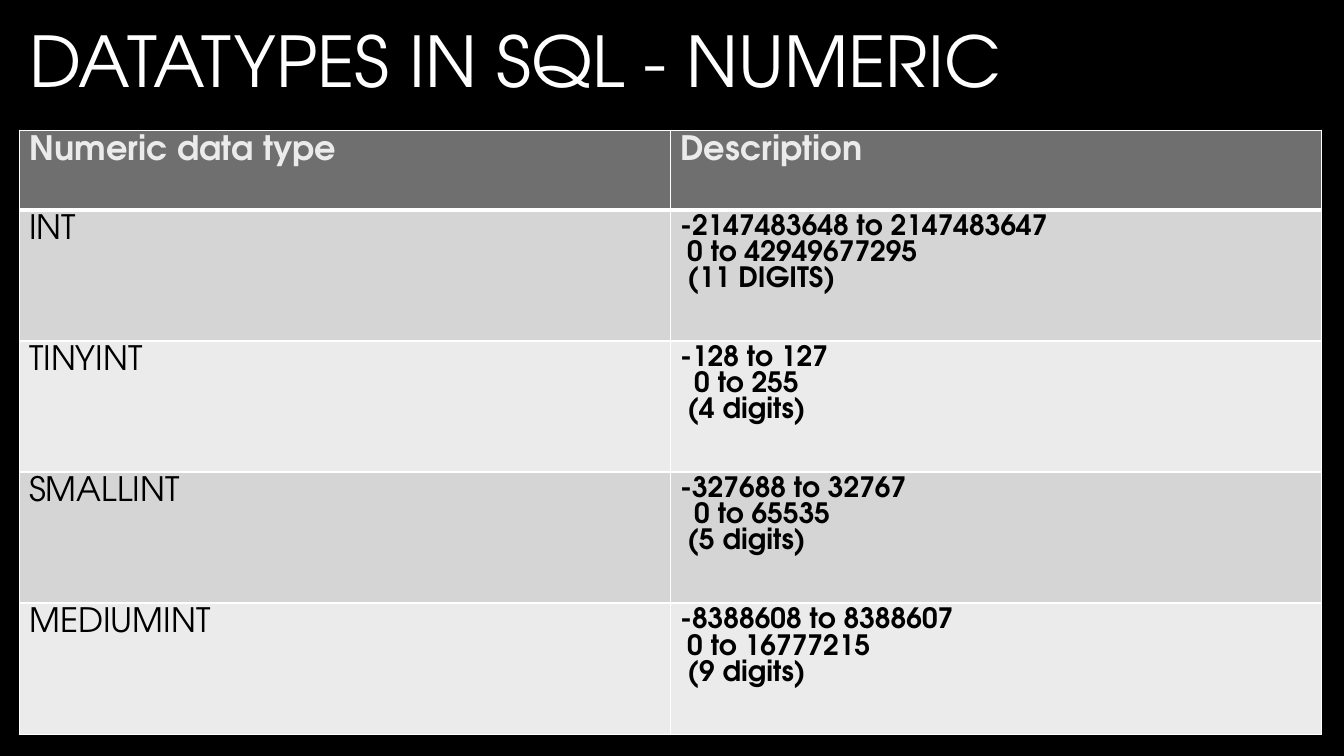
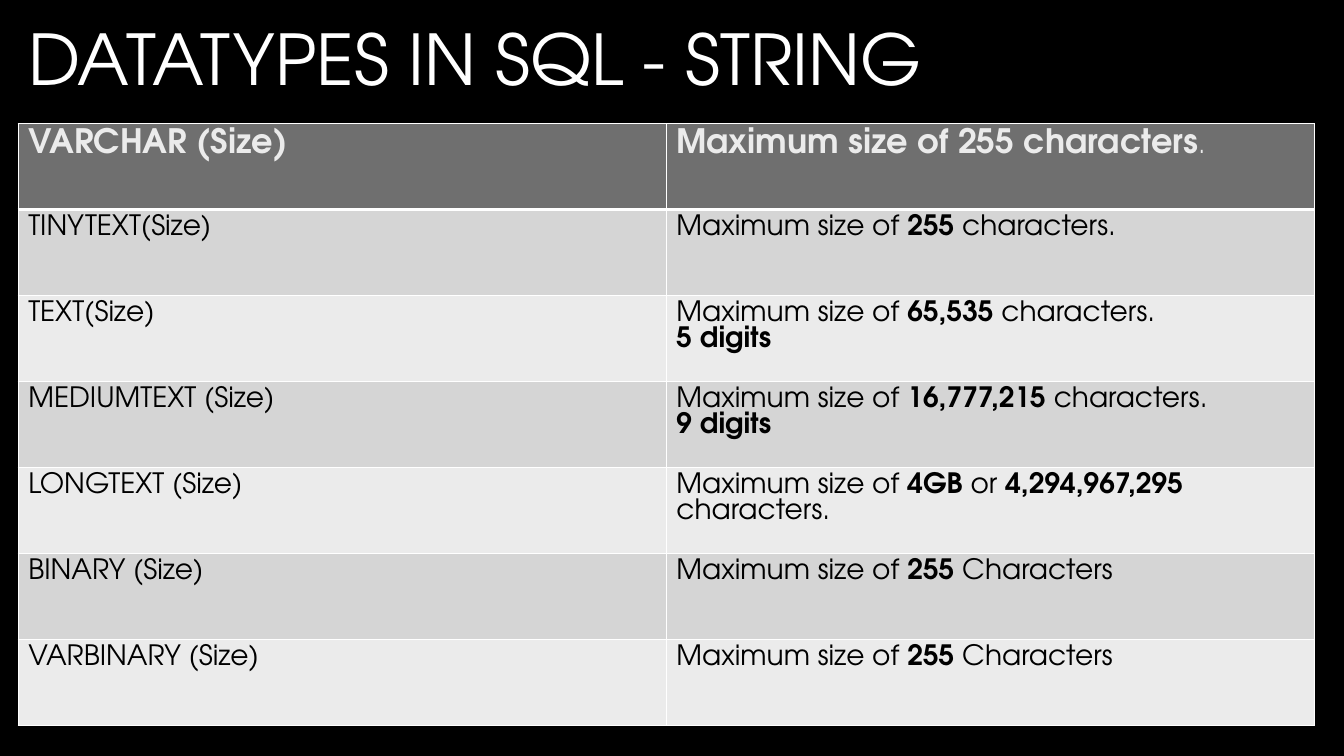
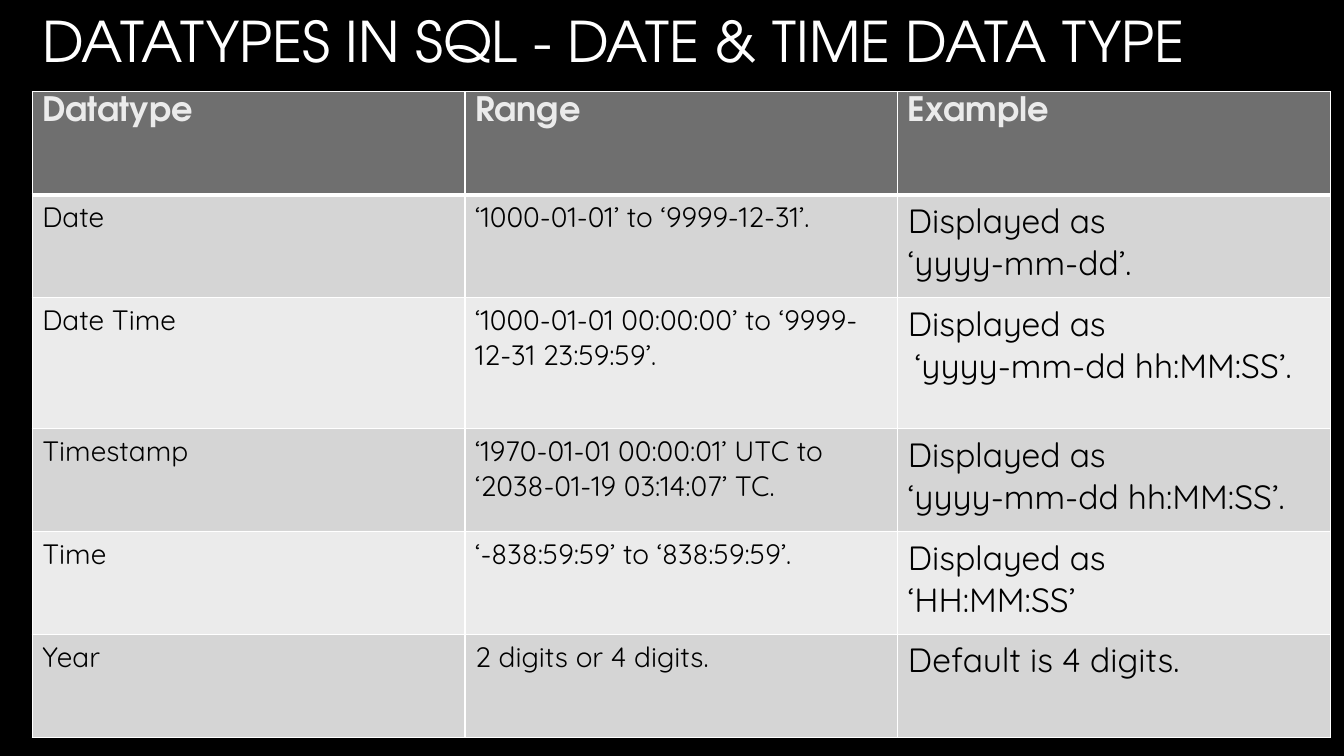
from lxml.etree import SubElement
from pptx import Presentation
from pptx.dml.color import RGBColor
from pptx.enum.text import MSO_ANCHOR, MSO_AUTO_SIZE, PP_ALIGN
from pptx.oxml.ns import qn
from pptx.util import Pt

COLORS = {
    "background": "000000",
    "title": "FFFFFF",
    "border": "FFFFFF",
    "header": "6F6F6F",
    "header_text": "EBEBEB",
    "body_text": "000000",
    "odd_row": "D5D5D5",
    "even_row": "EBEBEB",
}
HEADING_FONT = "TeX Gyre Adventor"
DATE_FONT = "Quicksand"
HEADER_SIZE = 24
HEADER_SMALL_SIZE = 18
TIGHT_LINE = 0.93
INDENT_STEP = 5

TITLE_FRAME = {
    "word_wrap": True,
    "auto_size": MSO_AUTO_SIZE.NONE,
    "vertical_anchor": MSO_ANCHOR.MIDDLE,
    "margin_left": Pt(7.2),
    "margin_right": Pt(7.2),
    "margin_top": Pt(3.6),
}

# In cell text, *...* is bold, each leading > is one indent step.
PAGES = [
    {
        "title": "DATATYPES IN SQL - NUMERIC",
        "title_at": (13.7, 0, 780, 150),
        "title_size": 50,
        "title_bottom": 68.4,
        "table_at": (13.7, 93),
        "columns": [465, 465],
        "rows": [57] + [93.6] * 4,
        "font": HEADING_FONT,
        "sizes": [24, 20],
        "cells": [
            ["*Numeric data type*", "*Description*"],
            ["INT", "*-2147483648 to 2147483647*\n>*0 to 42949677295*\n>*(11 DIGITS)*"],
            ["TINYINT", "*-128 to 127*\n>>*0 to 255*\n>*(4 digits)*"],
            ["SMALLINT", "*-327688 to 32767*\n>>*0 to 65535*\n>*(5 digits)*"],
            ["MEDIUMINT", "*-8388608 to 8388607*\n>*0 to 16777215*\n>*(9 digits)*"],
        ],
    },
    {
        "title": "DATATYPES IN SQL - STRING",
        "title_at": (13, -33.8, 780, 150),
        "title_size": 50,
        "title_bottom": 3.6,
        "table_at": (13, 88.3),
        "columns": [463, 463],
        "rows": [61.4] * 7,
        "font": HEADING_FONT,
        "sizes": [20, 20],
        "cells": [
            ["*VARCHAR (Size)*", "*Maximum size of 255 characters*."],
            ["TINYTEXT(Size)", "Maximum size of *255* characters."],
            ["TEXT(Size)", "Maximum size of *65,535* characters.\n*5 digits*"],
            ["MEDIUMTEXT (Size)", "Maximum size of *16,777,215* characters.\n*9 digits*"],
            ["LONGTEXT (Size)", "Maximum size of *4GB* or *4,294,967,295* characters."],
            ["BINARY (Size)", "Maximum size of *255* Characters"],
            ["VARBINARY (Size)", "Maximum size of *255* Characters"],
        ],
    },
    {
        "title": "DATATYPES IN SQL - DATE & TIME DATA TYPE",
        "title_at": (23, -32.4, 967.7, 122.4),
        "title_size": 40,
        "title_bottom": 3.6,
        "table_at": (23, 65.6),
        "columns": [309.2] * 3,
        "rows": [73.5, 73.5, 93.6, 73.5, 73.5, 73.5],
        "font": DATE_FONT,
        "sizes": [20, 20, 24],
        "cells": [
            ["*Datatype*", "*Range*", "*Example*"],
            ["Date", "‘1000-01-01’ to ‘9999-12-31’.", "Displayed as\n‘yyyy-mm-dd’."],
            [
                "Date Time",
                "‘1000-01-01 00:00:00’ to ‘9999-12-31 23:59:59’.",
                "Displayed as\n>‘yyyy-mm-dd hh:MM:SS’.",
            ],
            [
                "Timestamp",
                "‘1970-01-01 00:00:01’ UTC to\n‘2038-01-19 03:14:07’ TC.",
                "Displayed as\n‘yyyy-mm-dd hh:MM:SS’.",
            ],
            ["Time", "‘-838:59:59’ to ‘838:59:59’.", "Displayed as\n‘HH:MM:SS’"],
            ["Year", "2 digits or 4 digits.", "Default is 4 digits."],
        ],
    },
]


def add_span(para, text, color, **formats):
    span = para.add_run()
    span.text = text
    for name, value in formats.items():
        setattr(span.font, name, value)
    span.font.color.rgb = RGBColor.from_string(COLORS[color])


def style_cell(cell, row_index, fill):
    properties = cell._tc.get_or_add_tcPr()
    widths = {
        "a:lnL": 1,
        "a:lnR": 1,
        "a:lnT": 3 if row_index == 1 else 1,
        "a:lnB": 3 if row_index == 0 else 1,
    }
    for tag, width in widths.items():
        line = SubElement(properties, qn(tag), w=str(Pt(width)))
        solid = SubElement(line, qn("a:solidFill"))
        SubElement(solid, qn("a:srgbClr"), val=COLORS["border"])
    cell.fill.solid()
    cell.fill.fore_color.rgb = RGBColor.from_string(COLORS[fill])


deck = Presentation()
deck.slide_width, deck.slide_height = Pt(960), Pt(540)
background = deck.slide_master.background.fill
background.solid()
background.fore_color.rgb = RGBColor.from_string(COLORS["background"])

for content in PAGES:
    page = deck.slides.add_slide(deck.slide_layouts[5])

    title = page.shapes.title
    title.left, title.top, title.width, title.height = map(Pt, content["title_at"])
    frame = title.text_frame
    for name, value in TITLE_FRAME.items():
        setattr(frame, name, value)
    frame.margin_bottom = Pt(content["title_bottom"])
    para = frame.paragraphs[0]
    para.alignment = PP_ALIGN.LEFT
    add_span(para, content["title"], "title",
             name=HEADING_FONT, size=Pt(content["title_size"]), bold=False)

    columns, rows = content["columns"], content["rows"]
    left, top = content["table_at"]
    table = page.shapes.add_table(
        len(rows), len(columns), Pt(left), Pt(top), Pt(sum(columns)), Pt(sum(rows))
    ).table
    table.first_row = table.horz_banding = False
    for column, width in zip(table.columns, columns):
        column.width = Pt(width)
    for row, height in zip(table.rows, rows):
        row.height = Pt(height)

    for row_index, texts in enumerate(content["cells"]):
        is_header = row_index == 0
        fill = "header" if is_header else "odd_row" if row_index % 2 else "even_row"
        color = "header_text" if is_header else "body_text"
        font = HEADING_FONT if is_header else content["font"]
        for column_index, text in enumerate(texts):
            cell = table.cell(row_index, column_index)
            style_cell(cell, row_index, fill)
            size = HEADER_SIZE if is_header else content["sizes"][column_index]
            for line_index, line in enumerate(text.split("\n")):
                frame = cell.text_frame
                para = frame.add_paragraph() if line_index else frame.paragraphs[0]
                para.alignment = PP_ALIGN.LEFT
                if font == HEADING_FONT:
                    para.line_spacing = Pt(round(size * TIGHT_LINE, 1))
                words = line.lstrip(">")
                indent = len(line) - len(words)
                if indent:
                    para._p.get_or_add_pPr().set("marL", str(Pt(indent * INDENT_STEP)))
                for part_index, part in enumerate(words.split("*")):
                    if part:
                        bold = part_index % 2 == 1
                        small = is_header and not bold
                        add_span(para, part, color, name=font, bold=bold,
                                 size=Pt(HEADER_SMALL_SIZE if small else size))

deck.save("out.pptx")
